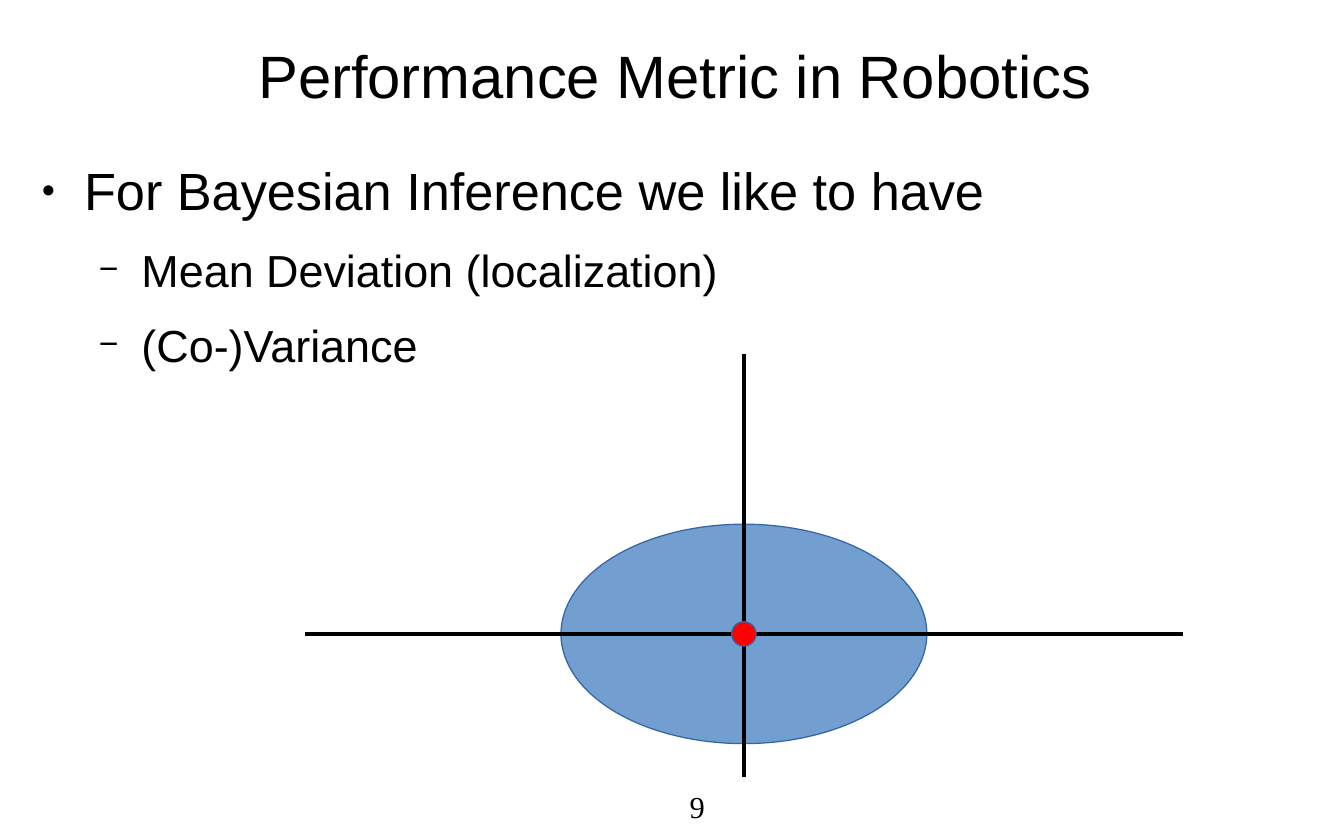
"""Builds the slide on performance metrics in robotics."""
import pptx
import pptx.dml.color
import pptx.enum.shapes
import pptx.enum.text
import pptx.oxml
import pptx.oxml.ns
import pptx.util

COLORS = {"text": "000000", "ellipse": "729FCF", "outline": "3465A4", "mean": "FF0000"}
ALIGN = pptx.enum.text.PP_ALIGN
ANCHOR = pptx.enum.text.MSO_ANCHOR
CELL = 0.1


class Deck:
    """Holds the style and the current slide; lengths are grid cells."""

    font = "Arial"
    number_font = "Times New Roman"
    levels = [("●", 45, 30.9, 0), ("−", 75, 26.5, 12.5)]
    indent, hanging = 4.7, 3.5

    def __init__(self, width, height):
        self.prs = pptx.Presentation()
        self.prs.slide_width = self.cells(width)
        self.prs.slide_height = self.cells(height)
        self.s = self.prs.slides.add_slide(self.prs.slide_layouts[5])

    def cells(self, n):
        return pptx.util.Inches(n * CELL)

    def box(self, *cells):
        return [self.cells(n) for n in cells]

    def color(self, name):
        return pptx.dml.color.RGBColor.from_string(COLORS[name])

    def frame(self, sp, anchor):
        tf = sp.text_frame
        tf.word_wrap = True
        tf.auto_size = pptx.enum.text.MSO_AUTO_SIZE.NONE
        tf.vertical_anchor = anchor
        tf.margin_left = tf.margin_top = tf.margin_right = tf.margin_bottom = 0
        return tf

    def set_text(self, p, text, size, font, align):
        p.text = text
        p.alignment = align
        for r in p.runs:
            r.font.size = pptx.util.Pt(size)
            r.font.name = font
            r.font.color.rgb = self.color("text")

    def title(self, text, *cells):
        sp = self.s.shapes.title
        sp.left, sp.top, sp.width, sp.height = self.box(*cells)
        tf = self.frame(sp, ANCHOR.MIDDLE)
        self.set_text(tf.paragraphs[0], text, 35.3, self.font, ALIGN.CENTER)

    def bullets(self, items, *cells):
        tf = self.frame(self.s.shapes.add_textbox(*self.box(*cells)), ANCHOR.TOP)
        for i, (level, text) in enumerate(items):
            char, share, size, before = self.levels[level]
            p = tf.add_paragraph() if i else tf.paragraphs[0]
            p.level = level
            p.space_before = pptx.util.Pt(before)
            pPr = p._p.get_or_add_pPr()
            pPr.set("marL", str(self.cells(self.indent * (level + 1))))
            pPr.set("indent", str(-self.cells(self.hanging)))
            ns = pptx.oxml.ns.nsdecls("a")
            for xml in (
                f'<a:buClr {ns}><a:srgbClr val="{COLORS["text"]}"/></a:buClr>',
                f'<a:buSzPct {ns} val="{share * 1000}"/>',
                f'<a:buFont {ns} typeface="{self.font}"/>',
                f'<a:buChar {ns} char="{char}"/>',
            ):
                pPr.append(pptx.oxml.parse_xml(xml))
            self.set_text(p, text, size, self.font, ALIGN.LEFT)

    def ellipse(self, center, width, height, fill):
        x, y = center
        sp = self.s.shapes.add_shape(
            pptx.enum.shapes.MSO_SHAPE.OVAL,
            *self.box(x - width / 2, y - height / 2, width, height))
        sp.shadow.inherit = False
        sp.fill.solid()
        sp.fill.fore_color.rgb = self.color(fill)
        sp.line.color.rgb = self.color("outline")
        sp.line.width = 0

    def axis(self, *ends):
        line = self.s.shapes.add_connector(
            pptx.enum.shapes.MSO_CONNECTOR.STRAIGHT, *self.box(*ends))
        line.line.color.rgb = self.color("text")
        line.line.width = 0
        ns = pptx.oxml.ns.nsdecls("a")
        line._element.spPr.append(pptx.oxml.parse_xml(f"<a:effectLst {ns}/>"))

    def number(self, text, *cells):
        tf = self.frame(self.s.shapes.add_textbox(*self.box(*cells)), ANCHOR.MIDDLE)
        self.set_text(tf.paragraphs[0], text, 18, self.number_font, ALIGN.RIGHT)


def main():
    deck = Deck(110.2, 68.9)
    deck.title("Performance Metric in Robotics", 2.2, 1.4, 106.3, 9.4)
    deck.bullets([
        (0, "For Bayesian Inference we like to have"),
        (1, "Mean Deviation (localization)"),
        (1, "(Co-)Variance"),
    ], 2.2, 13, 106.3, 50.7)
    mean = x, y = 61, 52
    deck.ellipse(mean, 30, 18, "ellipse")
    deck.axis(x - 36, y, x + 36, y)
    deck.axis(x, 29, x, 63.7)
    deck.ellipse(mean, 2, 2, "mean")
    deck.number("9", 44.3, 63.8, 13.5, 4.7)
    deck.prs.save("out.pptx")


if __name__ == "__main__":
    main()
